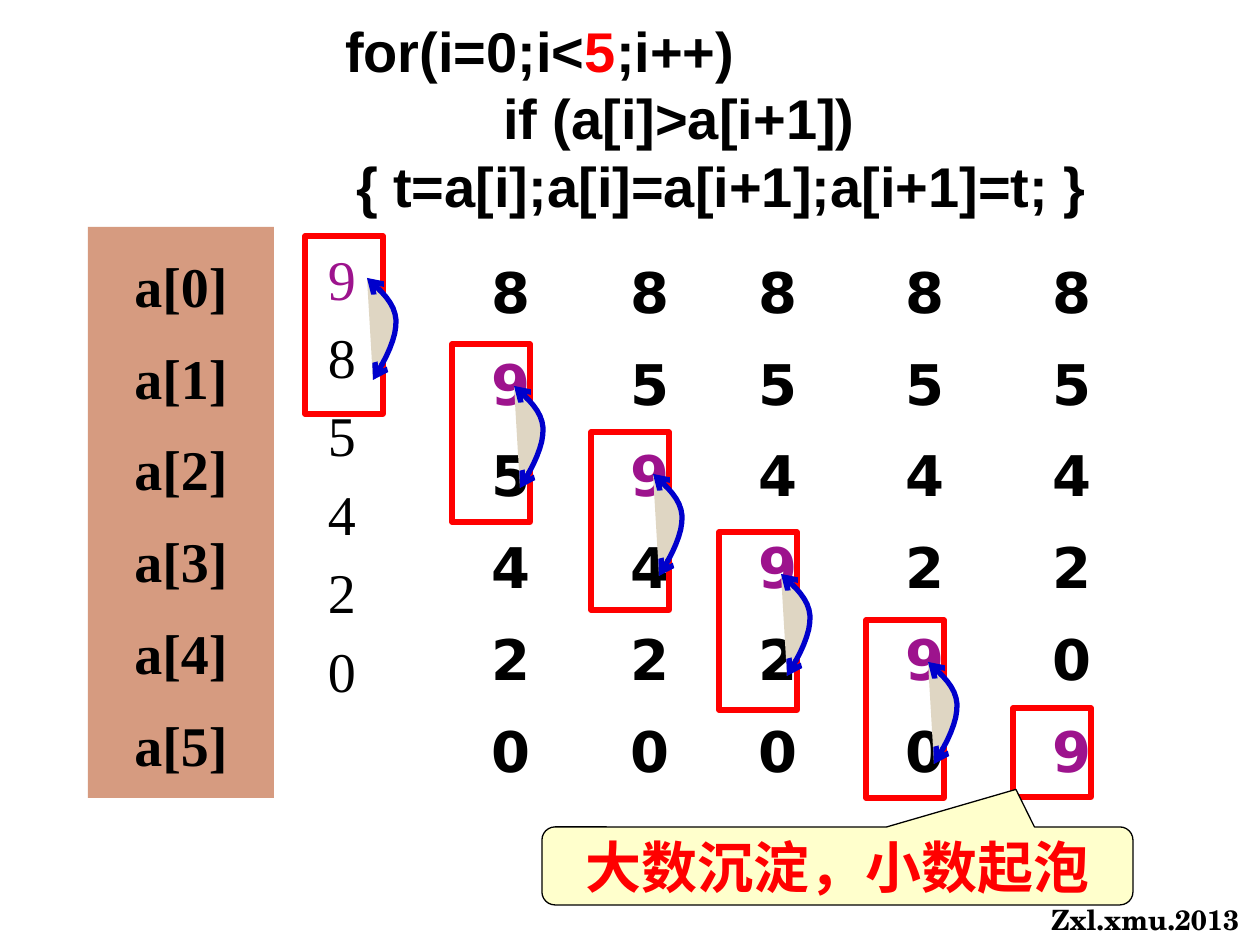
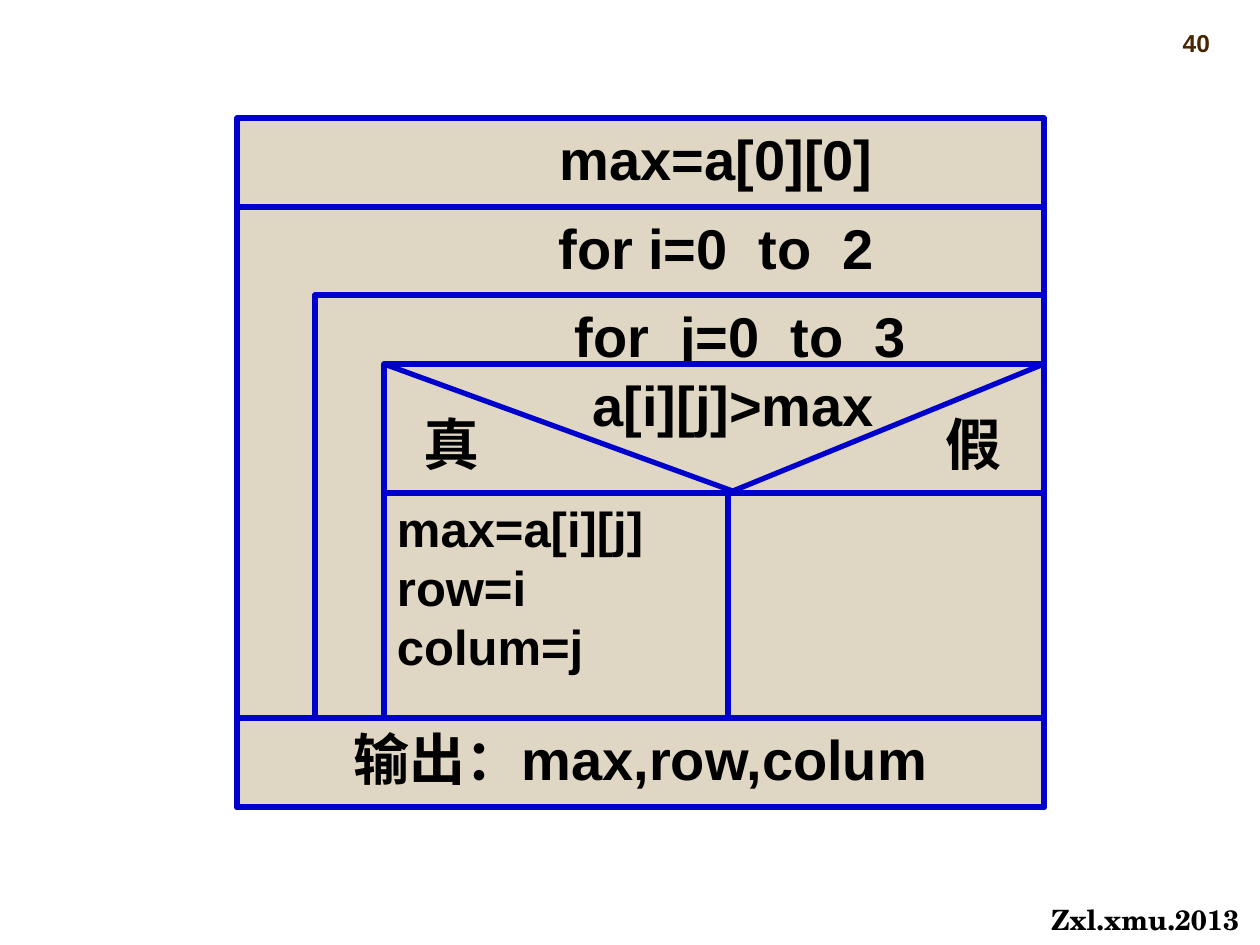
from dataclasses import dataclass, field

from lxml import etree
from pptx import Presentation
from pptx import util as u
from pptx.dml.color import RGBColor
from pptx.enum import shapes, text
from pptx.oxml import ns

SCALE = 914400 / 126  # EMU per px
BLANK = 6

BLACK = RGBColor(0x00, 0x00, 0x00)
WHITE = RGBColor(0xFF, 0xFF, 0xFF)
RED = RGBColor(0xFF, 0x00, 0x00)
BLUE = RGBColor(0x00, 0x00, 0xCC)
PURPLE = RGBColor(0x9D, 0x13, 0x8D)
SAND = RGBColor(0xDF, 0xD6, 0xC3)
CLAY = RGBColor(0xD6, 0x9B, 0x80)
CREAM = RGBColor(0xFF, 0xFF, 0xCC)
BROWN = RGBColor(0x48, 0x24, 0x00)

RECT = shapes.MSO_SHAPE.RECTANGLE
PROCESS = shapes.MSO_SHAPE.FLOWCHART_PROCESS
CALLOUT = shapes.MSO_SHAPE.ROUNDED_RECTANGULAR_CALLOUT
LEFT, CENTER, RIGHT = text.PP_ALIGN.LEFT, text.PP_ALIGN.CENTER, text.PP_ALIGN.RIGHT
TOP, MIDDLE, BOTTOM = (text.MSO_ANCHOR.TOP, text.MSO_ANCHOR.MIDDLE,
                       text.MSO_ANCHOR.BOTTOM)

# Text formats: font values and paragraph values
CODE = {"name": "Arial", "size": u.Pt(32), "bold": True}
BODY_CODE = {**CODE, "size": u.Pt(28)}
NUMBER = {**CODE, "size": u.Pt(14)}
FOOTER = {"name": "TeX Gyre Schola", "size": u.Pt(16), "bold": True}
DIGIT = {"name": "DejaVu Sans", "size": u.Pt(32), "bold": True}
START_DIGIT = {"name": "Times New Roman", "size": u.Pt(32), "bold": False}
LABEL = {**START_DIGIT, "bold": True}

CODE_PARA = {"alignment": CENTER, "line_spacing": u.Pt(38.6)}
BODY_PARA = {"alignment": LEFT, "line_spacing": u.Pt(33.7)}
GRID_PARA = {"alignment": CENTER, "line_spacing": u.Pt(52.4)}
START_PARA = {"alignment": LEFT, "line_spacing": u.Pt(44.8)}

Run = tuple[str, RGBColor]
Line = list[Run]


@dataclass
class Box:
    """A block of the slide: place in px, outline, fill and text."""
    left: int
    top: int
    width: int
    height: int
    lines: list[Line] = field(default_factory=list)
    font: dict = field(default_factory=lambda: CODE)
    para: dict = field(default_factory=lambda: CODE_PARA)
    kind: shapes.MSO_SHAPE | None = PROCESS
    fill: RGBColor | None = None
    line: RGBColor | None = None
    weight: float = 3
    insets: tuple[int, int, int, int] = (13, 6, 13, 6)
    anchor: text.MSO_ANCHOR = TOP
    wrap: bool = True


def px(value: float) -> int:
    return round(value * SCALE)


def plain(*rows: str, color: RGBColor = BLACK) -> list[Line]:
    return [[(row, color)] for row in rows]


def paint(sp, fill: RGBColor | None, line: RGBColor | None, weight: float) -> None:
    sp.shadow.inherit = False
    if fill is None:
        sp.fill.background()
    else:
        sp.fill.solid()
        sp.fill.fore_color.rgb = fill
    if line is None:
        sp.line.fill.background()
    else:
        sp.line.color.rgb = line
        sp.line.width = u.Pt(weight)


def write(tf, box: Box) -> None:
    sides = ("margin_left", "margin_top", "margin_right", "margin_bottom")
    frame = {"word_wrap": box.wrap, "vertical_anchor": box.anchor,
             **{side: px(v) for side, v in zip(sides, box.insets)}}
    for name, value in frame.items():
        setattr(tf, name, value)
    for i, line in enumerate(box.lines):
        p = tf.add_paragraph() if i else tf.paragraphs[0]
        for name, value in box.para.items():
            setattr(p, name, value)
        for words, color in line:
            r = p.add_run()
            r.text = words
            for name, value in box.font.items():
                setattr(r.font, name, value)
            r.font.color.rgb = color


def draw(s, box: Box):
    place = [px(v) for v in (box.left, box.top, box.width, box.height)]
    if box.kind is None:
        sp = s.shapes.add_textbox(*place)
    else:
        sp = s.shapes.add_shape(box.kind, *place)
        paint(sp, box.fill, box.line, box.weight)
    if box.lines:
        write(sp.text_frame, box)
    return sp


def draw_line(s, x1: int, y1: int, x2: int, y2: int) -> None:
    cx = s.shapes.add_connector(shapes.MSO_CONNECTOR.STRAIGHT,
                                px(x1), px(y1), px(x2), px(y2))
    cx.line.color.rgb = BLUE
    cx.line.width = u.Pt(3)
    etree.SubElement(cx._element.spPr, ns.qn("a:effectLst"))


def add_slide(prs):
    s = prs.slides.add_slide(prs.slide_layouts[BLANK])
    draw(s, Box(1038, 897, 223, 47, plain("Zxl.xmu.2013"), FOOTER,
                {"alignment": LEFT}, kind=None, wrap=False))
    return s


# Swap arrow: two cubic curves, px from the corner of its box
SWAP_CURVES = (((6, 102), (19, 81), (30, 59), (29, 42)),
               ((29, 42), (28, 25), (14, 13), (0, 0)))
CURVE_STEPS = 8


def curve_point(curve, t: float) -> tuple[float, float]:
    weights = ((1 - t) ** 3, 3 * t * (1 - t) ** 2, 3 * t * t * (1 - t), t ** 3)
    return tuple(sum(w * c[axis] for w, c in zip(weights, curve)) for axis in (0, 1))


def draw_swap_arrow(s, left: int, top: int) -> None:
    points = [SWAP_CURVES[0][0]]
    for curve in SWAP_CURVES:
        points += [curve_point(curve, i / CURVE_STEPS)
                   for i in range(1, CURVE_STEPS + 1)]
    tenths = [(round(10 * (left + x)), round(10 * (top + y))) for x, y in points]
    builder = s.shapes.build_freeform(*tenths[0], scale=SCALE / 10)
    builder.add_line_segments(tenths[1:], close=False)
    sp = builder.convert_to_shape()
    paint(sp, SAND, BLUE, 3)
    ln = sp.line._get_or_add_ln()
    for end in ("a:headEnd", "a:tailEnd"):
        etree.SubElement(ln, ns.qn(end), type="arrow")


@dataclass
class Step:
    """One state of the array: column centre and top of the compared pair."""
    center: int
    frame_top: int


STEPS = (Step(364, 236), Step(511, 344), Step(650, 432),
         Step(778, 532), Step(925, 620), Step(1072, 708))


def build_bubble_slide(prs) -> None:
    s = add_slide(prs)

    # Array states, each with the largest number one place lower
    digits = [9, 8, 5, 4, 2, 0]
    last = len(digits) - 1
    for i, step in enumerate(STEPS):
        column = [[(str(d), PURPLE if row == i else BLACK)]
                  for row, d in enumerate(digits)]
        font, para = (DIGIT, GRID_PARA) if i else (START_DIGIT, START_PARA)
        draw(s, Box(step.center - 49, 233, 98, 571, column, font, para,
                    kind=None, insets=(13, 0, 13, 0)))
        frame_left = step.center - 59
        draw(s, Box(frame_left, step.frame_top, 78, 178 if i < last else 89, line=RED))
        if i < last:
            draw_swap_arrow(s, frame_left + 62, step.frame_top + 42)
            digits[i], digits[i + 1] = digits[i + 1], digits[i]

    # Conclusion
    note = draw(s, Box(542, 827, 591, 78, plain("大数沉淀，小数起泡", color=RED),
                       para={"alignment": CENTER}, kind=CALLOUT, fill=CREAM,
                       line=BLACK, weight=0.75, anchor=MIDDLE))
    for i, value in enumerate((0.302, -0.982, 0.167)):
        note.adjustments[i] = value

    # Element names
    names = plain(*(f"a[{i}]" for i in range(len(digits))))
    draw(s, Box(88, 227, 186, 571, names, LABEL, GRID_PARA, kind=RECT,
                fill=CLAY, insets=(0, 0, 0, 0)))

    # Loop code, each line with its own indent
    code = [[("for(i=0;i<", BLACK), ("5", RED), (";i++)", BLACK)],
            *plain("if (a[i]>a[i+1])", "{ t=a[i];a[i]=a[i+1];a[i+1]=t; }")]
    sp = draw(s, Box(281, 10, 824, 217, code, para={**CODE_PARA, "alignment": LEFT},
                     kind=RECT, fill=WHITE, insets=(0, 6, 0, 6)))
    for p, indent in zip(sp.text_frame.paragraphs, (64, 222, 75)):
        p._p.get_or_add_pPr().set("marL", str(px(indent)))


def build_max_slide(prs) -> None:
    s = add_slide(prs)
    draw(s, Box(998, 0, 262, 63, plain("40", color=BROWN), NUMBER,
                {"alignment": RIGHT}, kind=None, insets=(13, 6, 50, 6), anchor=BOTTOM))

    # Edges of the nested blocks
    outer, loop, branch, right = 237, 315, 384, 1044
    first, loop_i, loop_j, test, split, output = 118, 207, 295, 364, 493, 718
    row = 89
    solid = {"fill": SAND, "line": BLUE}
    shifted = {**solid, "insets": (165, 6, 13, 6)}

    # Blocks from the outside in
    blocks = (
        Box(outer, loop_i, right - outer, output + row - loop_i,
            plain("for i=0  to  2"), **shifted),
        Box(loop, loop_j, right - loop, output - loop_j, plain("for  j=0  to  3"),
            kind=RECT, **{**solid, "insets": (135, 6, 13, 6)}),
        Box(branch, test, right - branch, output - test,
            plain("max=a[i][j]", "row=i", "colum=j"), BODY_CODE, BODY_PARA,
            insets=(13, 134, 13, 6), **solid),
        Box(571, test, 325, row, plain("a[i][j]>max")),
        Box(403, 403, 98, row, plain("真")),
        Box(outer, first, right - outer, row, plain("max=a[0][0]"), **shifted),
        Box(outer, output, right - outer, row, plain("输出：max,row,colum"), **solid),
        Box(925, 403, 98, row, plain("假")),
    )
    for block in blocks:
        draw(s, block)

    # Branch lines
    for ends in ((branch, split, right, split), (728, split, right, test),
                 (branch, test, 738, split), (728, output, 728, split)):
        draw_line(s, *ends)


def main() -> None:
    prs = Presentation()
    prs.slide_width, prs.slide_height = px(1260), px(945)
    build_bubble_slide(prs)
    build_max_slide(prs)
    prs.save("out.pptx")


if __name__ == "__main__":
    main()
